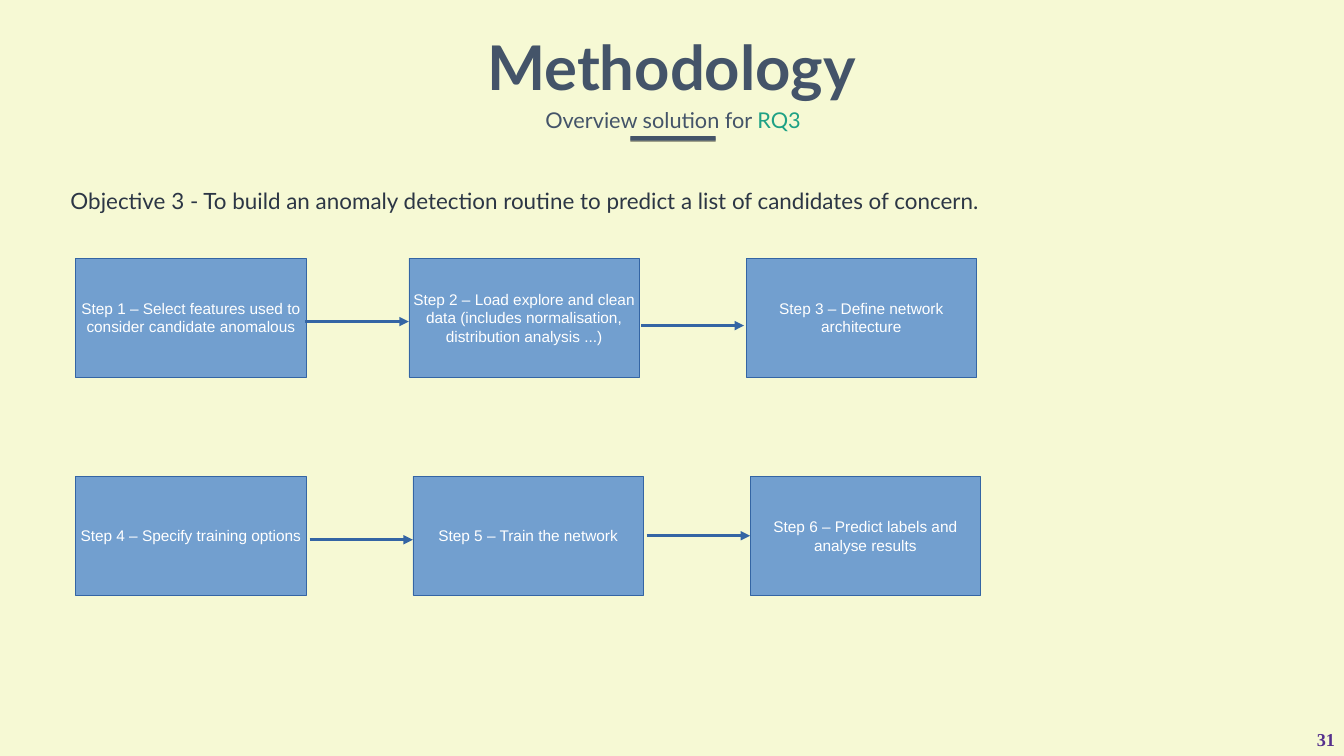
import pptx
import pptx.util
import pptx.dml.color
import pptx.enum.shapes
import pptx.enum.text
import pptx.oxml
import pptx.oxml.ns

Inches = pptx.util.Inches
Pt = pptx.util.Pt
ALIGN = pptx.enum.text.PP_ALIGN
SPACE = pptx.oxml.ns.nsdecls("a")

SLATE = "445469"
BLUE = "3465A4"
STEPS = [
    (5.12, [
        (1.5, ["Step 1 – Select features used to", "consider candidate anomalous"]),
        (8.11, ["Step 2 – Load explore and clean", "data (includes normalisation,",
                "distribution analysis ...)"]),
        (14.8, ["Step 3 – Define network", "architecture"]),
    ]),
    (9.45, [
        (1.5, ["Step 4 – Specify training options"]),
        (8.19, ["Step 5 – Train the network"]),
        (14.88, ["Step 6 – Predict labels and", "analyse results"]),
    ]),
]
ARROWS = [(6.06, 8.11, 6.38), (12.72, 14.76, 6.46), (6.14, 8.19, 10.71)]


def color(code):
    """Turn a hex string into a colour."""
    return pptx.dml.color.RGBColor.from_string(code)


def place(box):
    """Turn left, top, width and height into lengths."""
    return [Inches(n) for n in box]


def add_run(para, text, size, font, code, bold=False):
    """Add one styled run to a paragraph."""
    run = para.add_run()
    run.text = text
    run.font.size = Pt(size)
    run.font.name = font
    run.font.bold = bold
    run.font.color.rgb = color(code)


def add_text(slide, box, runs, align=ALIGN.LEFT, pad=0.1):
    """Add a text box of one paragraph and return its frame."""
    frame = slide.shapes.add_textbox(*place(box)).text_frame
    frame.word_wrap = True
    frame.margin_left = frame.margin_right = Inches(pad)
    frame.margin_top = frame.margin_bottom = Inches(pad / 2)
    para = frame.paragraphs[0]
    para.alignment = align
    for run in runs:
        add_run(para, *run)
    return frame


def add_rect(slide, box, code):
    """Add a plain filled rectangle."""
    kind = pptx.enum.shapes.MSO_SHAPE.RECTANGLE
    rect = slide.shapes.add_shape(kind, *place(box))
    rect.shadow.inherit = False
    rect.fill.solid()
    rect.fill.fore_color.rgb = color(code)
    rect.line.fill.background()
    return rect


def add_head(slide, box):
    """Add the title, its subtitle and the bar below them."""
    left, top, width, height = box
    mid = left + width / 2
    title = add_text(slide, (left, top, width, 1.56),
                     [("Methodology", 88, "Lato", SLATE, True)], ALIGN.CENTER)
    title.auto_size = pptx.enum.text.MSO_AUTO_SIZE.SHAPE_TO_FIT_TEXT
    bar = add_rect(slide, (mid + 0.03 - 1.69 / 2, top + height - 0.09, 1.69, 0.09), SLATE)
    glow = bar.element.spPr.find(pptx.oxml.ns.qn("a:effectLst"))
    glow.append(pptx.oxml.parse_xml(
        f'<a:outerShdw {SPACE} blurRad="0" dist="{Pt(1.8)}" dir="5400000" rotWithShape="0">'
        '<a:srgbClr val="000000"><a:alpha val="35000"/></a:srgbClr></a:outerShdw>'))
    runs = [("Overview solution for ", 31, "Lato", SLATE), ("RQ3", 31, "Lato", "1EA185")]
    frame = add_text(slide, (mid + 0.03 - 6.37, top + 1.36, 12.74, 0.91),
                     runs, ALIGN.CENTER, 0.24)
    para = frame.paragraphs[0]
    para.line_spacing = 1.2
    para.space_before = Pt(6.2)


def add_step(slide, box, lines):
    """Add one step of the flow and return its rectangle."""
    rect = add_rect(slide, box, "729FCF")
    rect.line.color.rgb = color(BLUE)
    rect.line.width = Pt(0.75)
    frame = rect.text_frame
    frame.word_wrap = False
    frame.vertical_anchor = pptx.enum.text.MSO_ANCHOR.MIDDLE
    for i, line in enumerate(lines):
        para = frame.add_paragraph() if i else frame.paragraphs[0]
        para.alignment = ALIGN.CENTER
        add_run(para, line, 22, "Arial", "FFFFFF")
    return rect


def add_arrow(slide, start, end, y):
    """Add a level arrow and return its connector."""
    kind = pptx.enum.shapes.MSO_CONNECTOR.STRAIGHT
    arrow = slide.shapes.add_connector(kind, *place((start, y, end, y)))
    arrow.line.color.rgb = color(BLUE)
    arrow.line.width = Pt(4.5)
    line = arrow.line._get_or_add_ln()
    line.append(pptx.oxml.parse_xml(f'<a:tailEnd {SPACE} type="triangle"/>'))
    arrow.element.spPr.append(pptx.oxml.parse_xml(f"<a:effectLst {SPACE}/>"))
    return arrow


def add_flow(slide, size):
    """Add both rows of steps and the arrows between them."""
    for top, row in STEPS:
        for left, lines in row:
            last = add_step(slide, (left, top, *size), lines)
    for start, end, y in ARROWS:
        add_arrow(slide, start, end, y)
    add_arrow(slide, 12.83, 14.88, 10.63).end_connect(last, 1)


def main():
    """Build the slide and save it."""
    deck = pptx.Presentation()
    deck.slide_width, deck.slide_height = Inches(26.66), Inches(15)
    slide = deck.slides.add_slide(deck.slide_layouts[6])
    slide.background.fill.solid()
    slide.background.fill.fore_color.rgb = color("F6F9D4")
    add_text(slide, (24.74, 14.41, 1.84, 0.5),
             [("31", 26, "Times New Roman", "55308D", True)], ALIGN.RIGHT)
    add_head(slide, (1.87, 0.53, 22.9, 2.26))
    goal = ("Objective 3 - To build an anomaly detection routine to predict "
            "a list of candidates of concern.")
    add_text(slide, (1.3, 3.66, 23.31, 0.49), [(goal, 32, "Lato", "2C3645")])
    add_flow(slide, (4.57, 2.36))
    deck.save("out.pptx")


if __name__ == "__main__":
    main()
